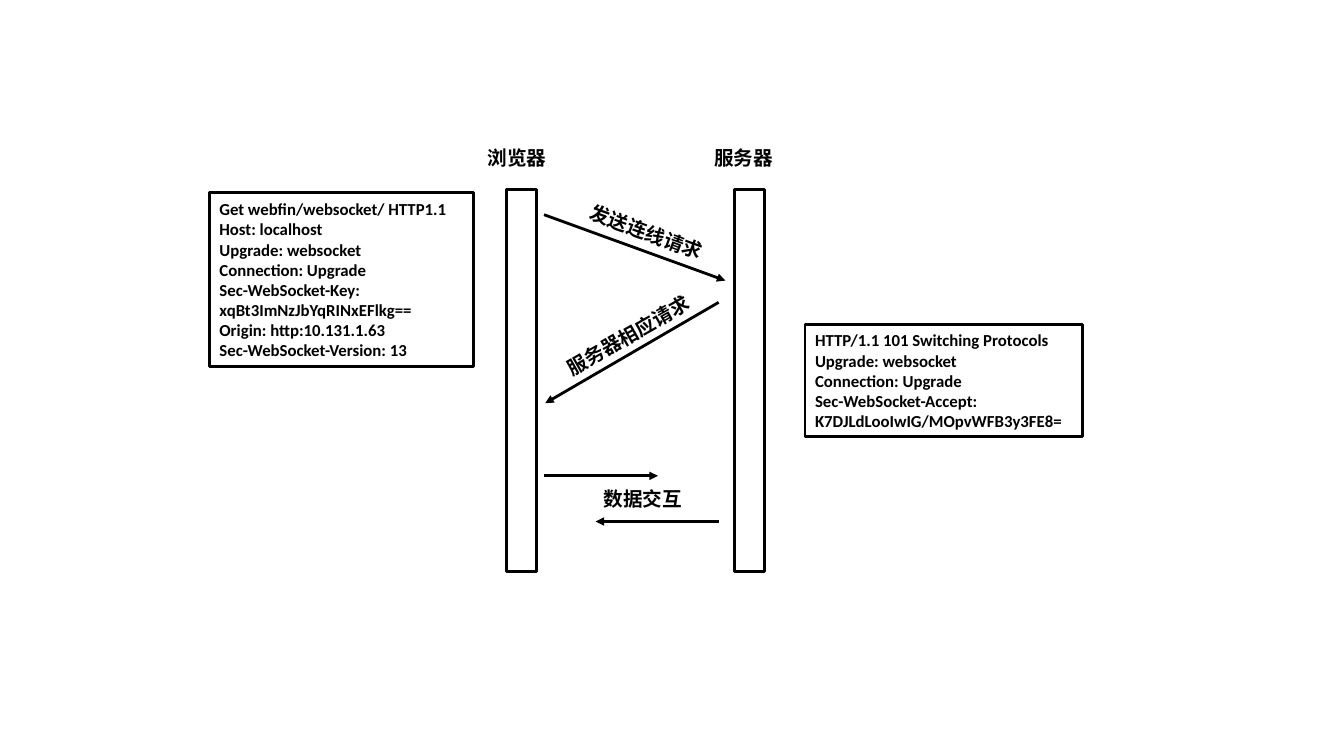
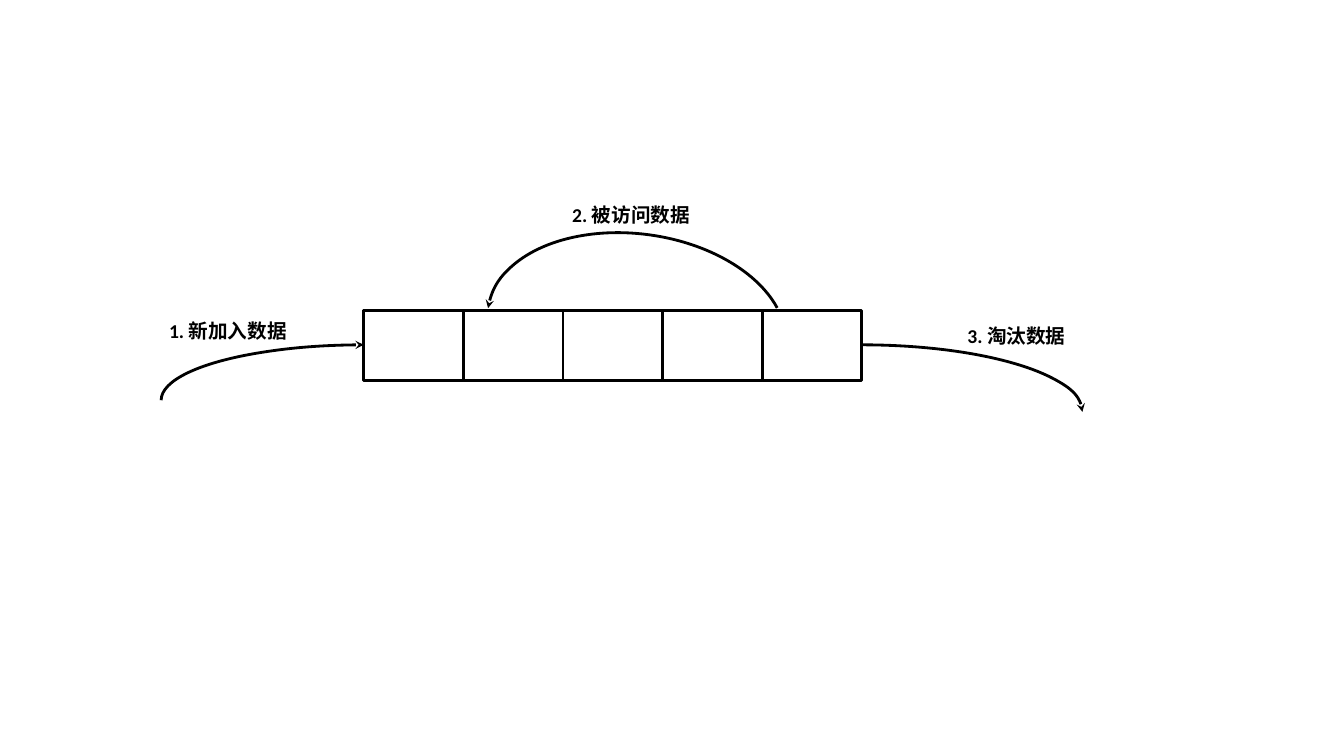
from lxml import etree
from pptx import Presentation
from pptx.dml.color import RGBColor
from pptx.enum.shapes import MSO_CONNECTOR, MSO_SHAPE
from pptx.enum.text import MSO_AUTO_SIZE, PP_ALIGN
from pptx.oxml.ns import qn
from pptx.util import Cm, Pt

RECTANGLE, ARC = MSO_SHAPE.RECTANGLE, MSO_SHAPE.ARC
STRAIGHT = MSO_CONNECTOR.STRAIGHT
LEFT = PP_ALIGN.LEFT
FIT_TEXT = MSO_AUTO_SIZE.SHAPE_TO_FIT_TEXT

COLORS = {"ink": "000000", "paper": "FFFFFF"}
FONT = "Calibri"
LABEL_SIZE, MESSAGE_SIZE = 14, 12
LINE_WIDTH = 2
LABEL_HEIGHT = 0.86

REQUEST = [
    "Get webfin/websocket/ HTTP1.1",
    "Host: localhost\nUpgrade: websocket",
    "Connection: Upgrade\n"
    "Sec-WebSocket-Key: xqBt3ImNzJbYqRINxEFlkg==\n"
    "Origin: http:10.131.1.63\n"
    "Sec-WebSocket-Version: 13",
]
RESPONSE = [
    "HTTP/1.1 101 Switching Protocols\n"
    "Upgrade: websocket\n"
    "Connection: Upgrade\n"
    "Sec-WebSocket-Accept: K7DJLdLooIwIG/MOpvWFB3y3FE8=",
]


def color(name):
    """Look up a named colour."""
    return RGBColor.from_string(COLORS[name])


def draw_line(line, **ends):
    """Style an outline; ends maps headEnd or tailEnd to an arrowhead type."""
    line.color.rgb = color("ink")
    line.width = Pt(LINE_WIDTH)
    for end, kind in ends.items():
        etree.SubElement(line._get_or_add_ln(), qn(f"a:{end}"), type=kind)


def write(frame, paragraphs, size):
    """Fill a text frame with bold, left-aligned paragraphs."""
    frame.word_wrap = True
    frame.auto_size = FIT_TEXT
    for index, words in enumerate(paragraphs):
        paragraph = frame.add_paragraph() if index else frame.paragraphs[0]
        paragraph.text = words
        paragraph.alignment = LEFT
        font = paragraph.font
        font.name, font.size, font.bold = FONT, Pt(size), True
        font.color.rgb = color("ink")


def add_label(slide, words, x, y, width, rotation=0):
    """Add a one-line label."""
    label = slide.shapes.add_textbox(Cm(x), Cm(y), Cm(width), Cm(LABEL_HEIGHT))
    label.rotation = rotation
    write(label.text_frame, [words], LABEL_SIZE)


def add_box(slide, x, y, width, height, paragraphs=()):
    """Add an outlined rectangle, with text if given."""
    box = slide.shapes.add_shape(RECTANGLE, Cm(x), Cm(y), Cm(width), Cm(height))
    box.shadow.inherit = False
    box.fill.solid()
    box.fill.fore_color.rgb = color("paper")
    draw_line(box.line)
    if paragraphs:
        write(box.text_frame, paragraphs, MESSAGE_SIZE)


def add_arrow(slide, x1, y1, x2, y2):
    """Add a straight arrow."""
    arrow = slide.shapes.add_connector(STRAIGHT, Cm(x1), Cm(y1), Cm(x2), Cm(y2))
    draw_line(arrow.line, tailEnd="triangle")
    etree.SubElement(arrow._element.spPr, qn("a:effectLst"))


def add_arc(slide, x, y, width, height, rotation=0, sweep_end=0, flip=False, **ends):
    """Add a curved arrow."""
    arc = slide.shapes.add_shape(ARC, Cm(x), Cm(y), Cm(width), Cm(height))
    arc.shadow.inherit = False
    arc.fill.background()
    arc.rotation = rotation
    arc.adjustments[1] = sweep_end
    if flip:
        arc._element.spPr.find(qn("a:xfrm")).set("flipV", "1")
    draw_line(arc.line, **ends)


def add_lifelines(slide, left, top):
    """Draw the browser and server bars with their names."""
    for bar_x in (7.49, 13.23):
        add_box(slide, left + bar_x, top + 1.22, 0.76, 9.63)
    for name, name_x in (("浏览器", 6.76), ("服务器", 12.47)):
        add_label(slide, name, left + name_x, top, 2.24)


def add_exchange(slide, left, top):
    """Draw the arrows between the lifelines and their labels."""
    for x1, y1, x2, y2 in (
        (8.43, 1.85, 13, 3.51),
        (12.83, 4.06, 8.46, 6.6),
        (8.43, 8.43, 11.3, 8.43),
        (12.83, 9.58, 9.73, 9.58),
    ):
        add_arrow(slide, left + x1, top + y1, left + x2, top + y2)
    for words, x, y, width, rotation in (
        ("发送连线请求", 9.27, 1.88, 3.56, 20.2),
        ("服务器相应请求", 8.56, 4.45, 4.04, 330.3),
        ("数据交互", 9.68, 8.59, 3.56, 0),
    ):
        add_label(slide, words, left + x, top + y, width, rotation)


def build_handshake(slide, left, top):
    """Build the WebSocket handshake diagram."""
    add_lifelines(slide, left, top)
    add_exchange(slide, left, top)
    add_box(slide, left, top + 1.3, 6.65, 4.37, REQUEST)
    add_box(slide, left + 15.01, top + 4.62, 6.99, 2.82, RESPONSE)


def build_cache(slide, left, top, cells=5, cell_width=2.51):
    """Build the cache queue with its three data movements."""
    for index in range(cells):
        add_box(slide, left + 5.16 + index * cell_width, top + 3.33, cell_width, 1.75)
    add_arc(slide, left + 0.05, top + 4.19, 10.21, 2.79,
            rotation=180, flip=True, headEnd="stealth")
    add_arc(slide, left + 12.14, top + 4.19, 11.13, 3.38, tailEnd="stealth")
    add_arc(slide, left + 9.65, top, 4.78, 7.57,
            rotation=277.9, sweep_end=44.17, headEnd="stealth")
    for words, x, y in (
        ("1. 新加入数据", 0, 3.4),
        ("2. 被访问数据", 10.16, 0.48),
        ("3. 淘汰数据", 20.12, 3.53),
    ):
        add_label(slide, words, left + x, top + y, 4.8)


deck = Presentation()
deck.slide_width, deck.slide_height = Cm(33.87), Cm(19.05)
blank = deck.slide_layouts[6]
build_handshake(deck.slides.add_slide(blank), 5.28, 3.56)
build_cache(deck.slides.add_slide(blank), 4.01, 4.5)
deck.save("out.pptx")
